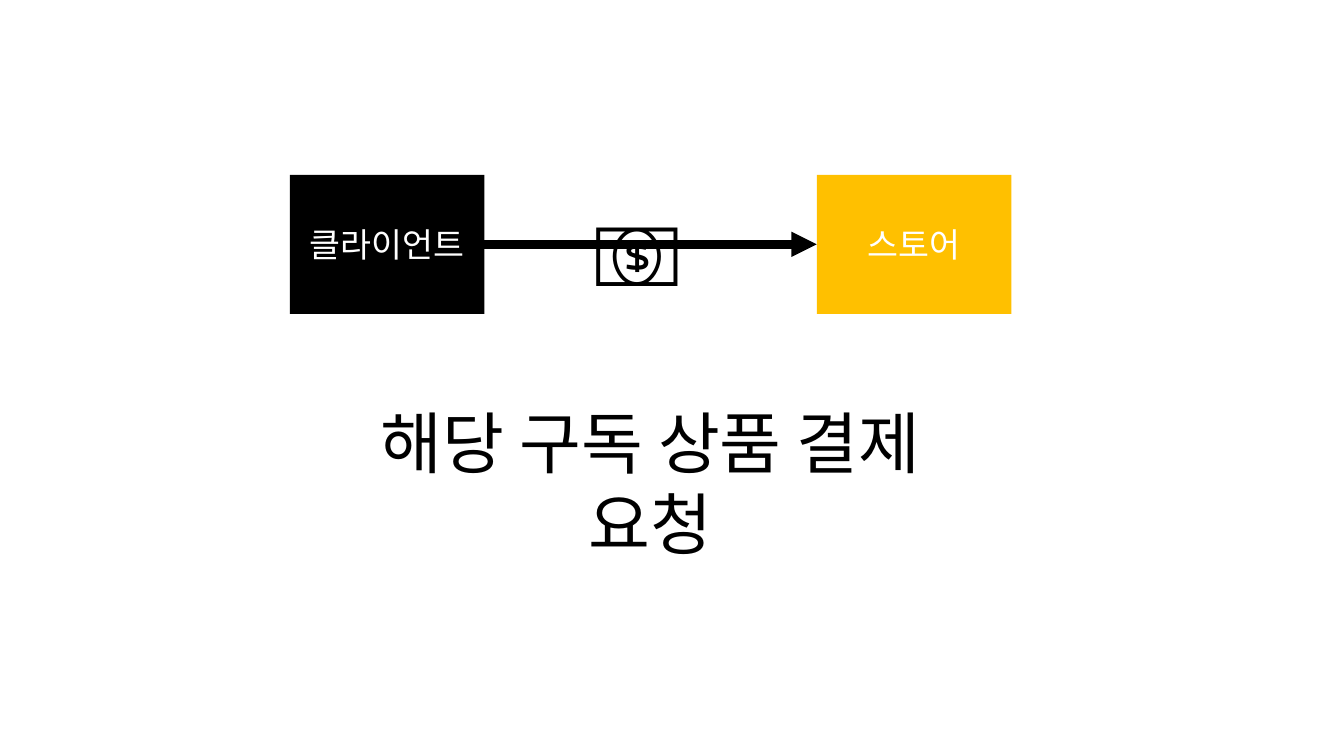
from pptx import Presentation
from pptx.dml.color import RGBColor
from pptx.enum.shapes import MSO_CONNECTOR, MSO_SHAPE
from pptx.enum.text import MSO_ANCHOR, MSO_AUTO_SIZE, PP_ALIGN
from pptx.oxml.ns import qn
from pptx.util import Inches, Pt
from lxml.etree import SubElement

BLACK = RGBColor(0x00, 0x00, 0x00)
WHITE = RGBColor(0xFF, 0xFF, 0xFF)
AMBER = RGBColor(0xFF, 0xC0, 0x00)

SLIDE_W, SLIDE_H = Inches(13.33), Inches(7.5)
BOX_TOP, BOX_W, BOX_H = 23.12, 14.48, 18.4


def area(left, top, width, height):
    return (int(SLIDE_W * left / 100), int(SLIDE_H * top / 100),
            int(SLIDE_W * width / 100), int(SLIDE_H * height / 100))


def write(tf, text, font, size, color, align, anchor, wrap=True):
    tf.text = text
    tf.word_wrap = wrap
    tf.auto_size = MSO_AUTO_SIZE.NONE
    tf.vertical_anchor = anchor
    p = tf.paragraphs[0]
    p.alignment = align
    r = p.runs[0]
    r.font.name = font
    r.font.size = Pt(size)
    r.font.color.rgb = color


def add_caption(s, text):
    sp = s.shapes.title
    sp.left, sp.top, sp.width, sp.height = area(21.98, 52.4, 52.89, 12.13)
    tf = sp.text_frame
    tf.margin_left = tf.margin_right = Inches(0.3)
    write(tf, text, "Roboto", 48, BLACK, PP_ALIGN.CENTER, MSO_ANCHOR.TOP)


def add_money(s, text):
    sp = s.shapes.add_textbox(*area(43.36, 25.33, 8.25, 15.73))
    write(sp.text_frame, text, "Roboto", 64, BLACK, PP_ALIGN.LEFT, MSO_ANCHOR.TOP, False)


def add_party(s, text, left, fill):
    sp = s.shapes.add_shape(MSO_SHAPE.RECTANGLE, *area(left, BOX_TOP, BOX_W, BOX_H))
    sp.shadow.inherit = False
    sp.fill.solid()
    sp.fill.fore_color.rgb = fill
    sp.line.fill.background()
    write(sp.text_frame, text, "Lato", 24, WHITE, PP_ALIGN.CENTER, MSO_ANCHOR.MIDDLE)
    return sp


def add_arrow(s, start, end):
    arrow = s.shapes.add_connector(MSO_CONNECTOR.STRAIGHT, 0, 0, 0, 0)
    arrow.begin_connect(start, 3)
    arrow.end_connect(end, 1)
    arrow.line.color.rgb = BLACK
    arrow.line.width = Pt(6)
    props = arrow.element.spPr
    SubElement(props.find(qn("a:ln")), qn("a:tailEnd"), type="triangle")
    SubElement(props, qn("a:effectLst"))


def main():
    prs = Presentation()
    prs.slide_width, prs.slide_height = SLIDE_W, SLIDE_H
    s = prs.slides.add_slide(prs.slide_layouts[5])
    client = add_party(s, "클라이언트", 21.57, BLACK)
    store = add_party(s, "스토어", 60.77, AMBER)
    add_arrow(s, client, store)
    add_money(s, "💵")
    add_caption(s, "해당 구독 상품 결제 요청")
    prs.save("out.pptx")


if __name__ == "__main__":
    main()
